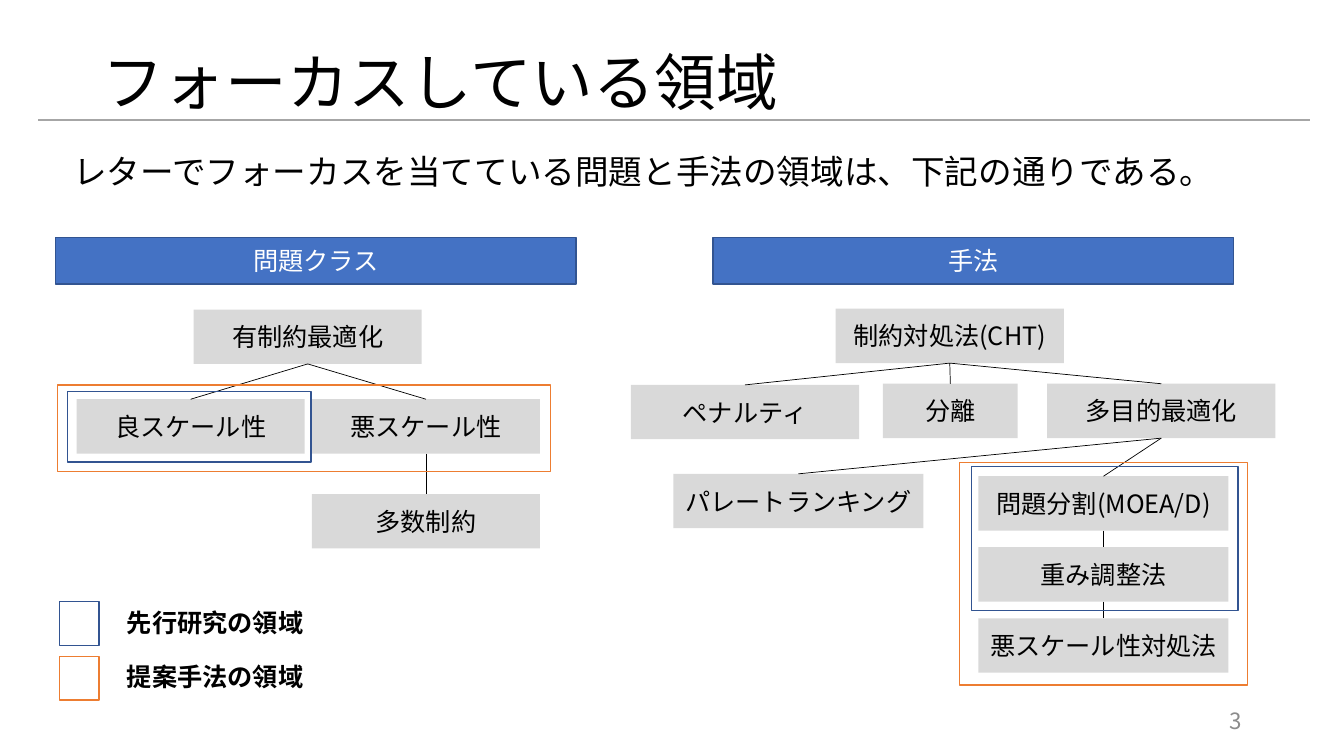
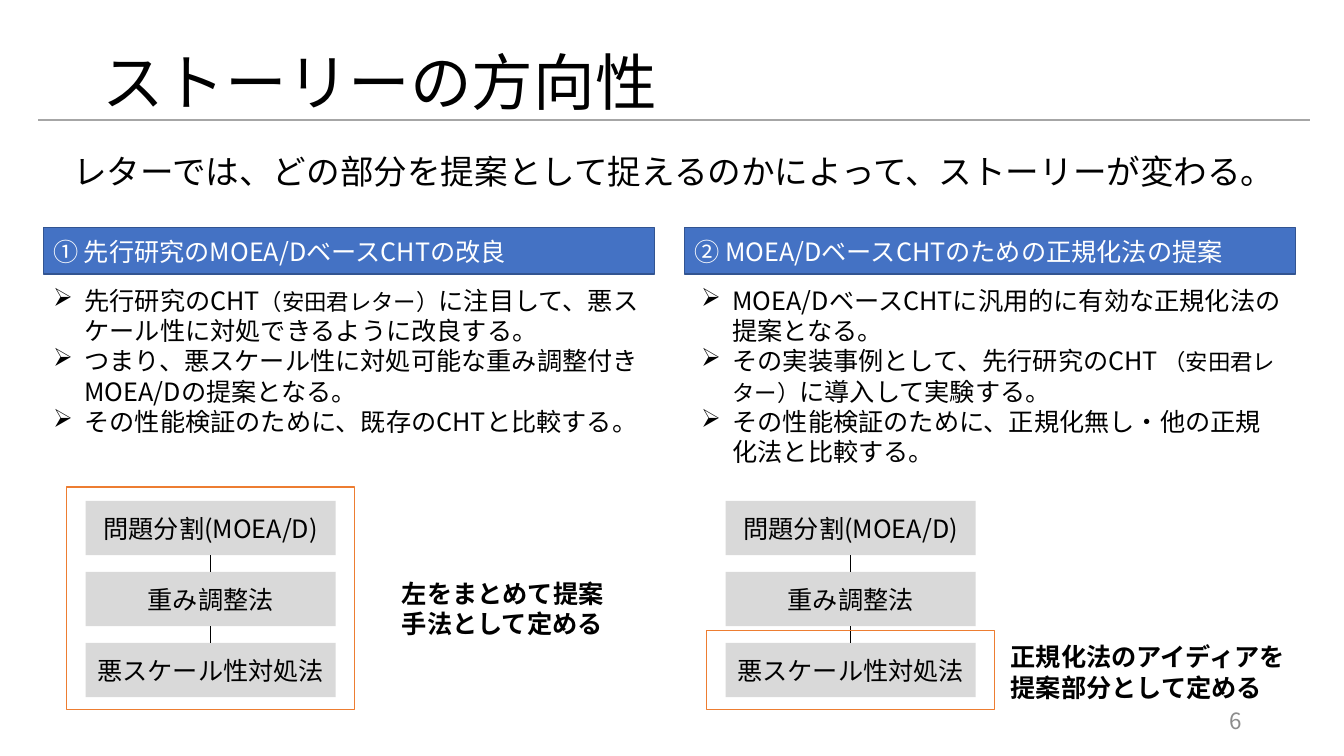
"""Build two slides on the focus area and the story direction of a letter."""
from dataclasses import dataclass

from lxml.etree import SubElement
from pptx import Presentation
from pptx.dml.color import RGBColor
from pptx.enum.shapes import MSO_CONNECTOR, MSO_SHAPE
from pptx.enum.text import MSO_ANCHOR, PP_ALIGN
from pptx.oxml.ns import qn
from pptx.util import Cm, Pt


@dataclass(frozen=True)
class Theme:
    font: str = "Noto Sans CJK JP"
    black: RGBColor = RGBColor(0, 0, 0)
    white: RGBColor = RGBColor(255, 255, 255)
    band: RGBColor = RGBColor(0x44, 0x72, 0xC4)
    navy: RGBColor = RGBColor(0x32, 0x54, 0x91)
    orange: RGBColor = RGBColor(0xED, 0x7D, 0x31)
    node: RGBColor = RGBColor(0xD9, 0xD9, 0xD9)
    rule: RGBColor = RGBColor(0xA6, 0xA6, 0xA6)
    muted: RGBColor = RGBColor(0x8C, 0x8C, 0x8C)
    title_size: int = 44
    lead_size: int = 24
    body_size: int = 18
    small_size: int = 16


THEME = Theme()
NODE_WIDTH, WIDE_NODE, NODE_HEIGHT = 5.75, 6.3, 1.37
STACK_STEP = 1.79
STACK_LABELS = ["問題分割(MOEA/D)", "重み調整法", "悪スケール性対処法"]
FRAME_WIDTH, FRAME_HEIGHT = 7.26, 5.61
FRAME_SIDE, FRAME_TOP = 0.48, 0.35


def write_text(box, *paragraphs, size=THEME.body_size, color=THEME.black, bold=False,
               align=PP_ALIGN.LEFT, anchor=MSO_ANCHOR.MIDDLE, spacing=None, bullet=None):
    """Fill a box with paragraphs, each a string or a list of (text, size) spans."""
    frame = box.text_frame
    frame.word_wrap = True
    frame.vertical_anchor = anchor
    for index, content in enumerate(paragraphs):
        para = frame.add_paragraph() if index else frame.paragraphs[0]
        para.alignment = align
        if spacing:
            para.line_spacing = spacing
        if bullet:
            properties = para._p.get_or_add_pPr()
            properties.set("marL", str(Cm(0.79)))
            properties.set("indent", str(-Cm(0.79)))
            SubElement(properties, qn("a:buChar")).set("char", bullet)
        spans = [(content, size)] if isinstance(content, str) else content
        for text, span_size in spans:
            span = para.add_run()
            span.text = text
            span.font.size = Pt(span_size)
            span.font.bold = bold
            span.font.color.rgb = color
            span.font.name = THEME.font
            SubElement(span._r.get_or_add_rPr(), qn("a:ea")).set("typeface", THEME.font)


class Deck:
    """Hold the presentation, its style and the current page."""

    def __init__(self, theme):
        self.theme = theme
        self.presentation = Presentation()
        self.presentation.slide_width = Cm(33.87)
        self.presentation.slide_height = Cm(19.05)
        self.page = None

    def add_page(self, title, lead, number):
        theme = self.theme
        layout = self.presentation.slide_layouts[6]
        self.page = self.presentation.slides.add_slide(layout)
        self.text(2.33, 1.02, 29.21, 2.25, title, size=theme.title_size, spacing=0.9)
        self.line(0.97, 3.02, 33.02, 3.02, theme.rule, 1)
        self.text(1.6, 3.73, 31.04, 1.17, lead, size=theme.lead_size)
        self.text(23.93, 17.65, 7.62, 1.02, str(number), size=theme.small_size,
                  color=theme.muted, align=PP_ALIGN.RIGHT)

    def text(self, left, top, width, height, *paragraphs, **style):
        box = self.page.shapes.add_textbox(Cm(left), Cm(top), Cm(width), Cm(height))
        write_text(box, *paragraphs, **style)

    def rectangle(self, left, top, width, height, fill=None, outline=None):
        box = self.page.shapes.add_shape(
            MSO_SHAPE.RECTANGLE, Cm(left), Cm(top), Cm(width), Cm(height))
        box.shadow.inherit = False
        for paint, color in ((box.fill, fill), (box.line.fill, outline)):
            if color is None:
                paint.background()
            else:
                paint.solid()
                paint.fore_color.rgb = color
        if outline is not None:
            box.line.width = Pt(1)
        return box

    def band(self, left, top, width, label, align=PP_ALIGN.LEFT):
        box = self.rectangle(left, top, width, 1.17, self.theme.band, self.theme.navy)
        write_text(box, label, color=self.theme.white, align=align)

    def node(self, left, top, label, width=NODE_WIDTH):
        box = self.rectangle(left, top, width, NODE_HEIGHT, self.theme.node)
        write_text(box, label, align=PP_ALIGN.CENTER)
        return box

    def line(self, start_x, start_y, end_x, end_y, color, weight):
        connector = self.page.shapes.add_connector(
            MSO_CONNECTOR.STRAIGHT, Cm(start_x), Cm(start_y), Cm(end_x), Cm(end_y))
        connector.line.color.rgb = color
        connector.line.width = Pt(weight)
        SubElement(connector._element.spPr, qn("a:effectLst"))
        return connector

    def link(self, parent, *children):
        for child in children:
            connector = self.line(0, 0, 1, 1, self.theme.black, 0.5)
            connector.begin_connect(parent, 2)
            connector.end_connect(child, 0)

    def stack(self, left, top):
        nodes = [self.node(left, top + index * STACK_STEP, label, WIDE_NODE)
                 for index, label in enumerate(STACK_LABELS)]
        for parent, child in zip(nodes, nodes[1:]):
            self.link(parent, child)
        return nodes

    def stack_frame(self, left, top, skip=0):
        self.rectangle(left - FRAME_SIDE, top - FRAME_TOP + skip, FRAME_WIDTH,
                       FRAME_HEIGHT - skip, outline=self.theme.orange)


def add_focus_page(deck):
    theme = deck.theme
    deck.add_page("フォーカスしている領域",
                  "レターでフォーカスを当てている問題と手法の領域は、下記の通りである。", 3)
    for left, label in ((1.4, "問題クラス"), (17.97, "手法")):
        deck.band(left, 5.99, 13.12, label, PP_ALIGN.CENTER)

    constrained = deck.node(4.88, 7.8, "有制約最適化")
    good_scale = deck.node(1.93, 10.06, "良スケール性")
    bad_scale = deck.node(7.86, 10.06, "悪スケール性")
    many = deck.node(7.86, 12.45, "多数制約")
    deck.link(constrained, good_scale, bad_scale)
    deck.link(bad_scale, many)
    deck.rectangle(1.7, 9.86, 6.14, 1.78, outline=theme.navy)
    deck.rectangle(1.45, 9.7, 12.42, 2.18, outline=theme.orange)

    handling = deck.node(21.06, 7.78, "制約対処法(CHT)")
    penalty = deck.node(15.9, 9.7, "ペナルティ")
    separation = deck.node(22.25, 9.67, "分離", 3.4)
    multiple = deck.node(26.39, 9.67, "多目的最適化")
    pareto = deck.node(16.97, 11.94, "パレートランキング", WIDE_NODE)
    stack_left, stack_top = 24.66, 12
    stack = deck.stack(stack_left, stack_top)
    deck.link(handling, penalty, separation, multiple)
    deck.link(multiple, pareto, stack[0])
    deck.rectangle(24.48, 11.76, 6.72, 3.63, outline=theme.navy)
    deck.stack_frame(stack_left, stack_top)

    legend = ((15.16, theme.navy, "先行研究の領域"), (16.54, theme.orange, "提案手法の領域"))
    for top, color, label in legend:
        deck.rectangle(1.5, top, 1, 1.1, outline=color)
        deck.text(2.95, top, 9.5, 1.03, label, bold=True)


def add_story_page(deck):
    small, body = deck.theme.small_size, deck.theme.body_size
    deck.add_page("ストーリーの方向性",
                  "レターでは、どの部分を提案として捉えるのかによって、ストーリーが変わる。", 6)
    deck.band(1.09, 5.74, 15.4, "① 先行研究のMOEA/DベースCHTの改良")
    deck.band(17.25, 5.74, 15.4, "② MOEA/DベースCHTのための正規化法の提案")
    bullets = {"bullet": "➢", "anchor": MSO_ANCHOR.TOP}
    deck.text(1.09, 7.06, 15.29, 4.11,
              [("先行研究のCHT", body), ("（安田君レター）", small),
               ("に注目して、悪スケール性に対処できるように改良する。", body)],
              "つまり、悪スケール性に対処可能な重み調整付きMOEA/Dの提案となる。",
              "その性能検証のために、既存のCHTと比較する。", **bullets)
    deck.text(17.42, 7.06, 15.21, 4.88,
              "MOEA/DベースCHTに汎用的に有効な正規化法の提案となる。",
              [("その実装事例として、先行研究のCHT ", body), ("（安田君レター）", small),
               ("に導入して実験する。", body)],
              "その性能検証のために、正規化無し・他の正規化法と比較する。", **bullets)

    stack_top = 12.62
    for left, skip in ((2.16, 0), (18.29, 3.62)):
        deck.stack(left, stack_top)
        deck.stack_frame(left, stack_top, skip)
    deck.text(9.88, 14.43, 6.1, 1.8, "左をまとめて提案手法として定める", bold=True)
    deck.text(25.22, 16.03, 7.77, 1.8, "正規化法のアイディアを提案部分として定める", bold=True)


def main():
    deck = Deck(THEME)
    add_focus_page(deck)
    add_story_page(deck)
    deck.presentation.save("out.pptx")


if __name__ == "__main__":
    main()
